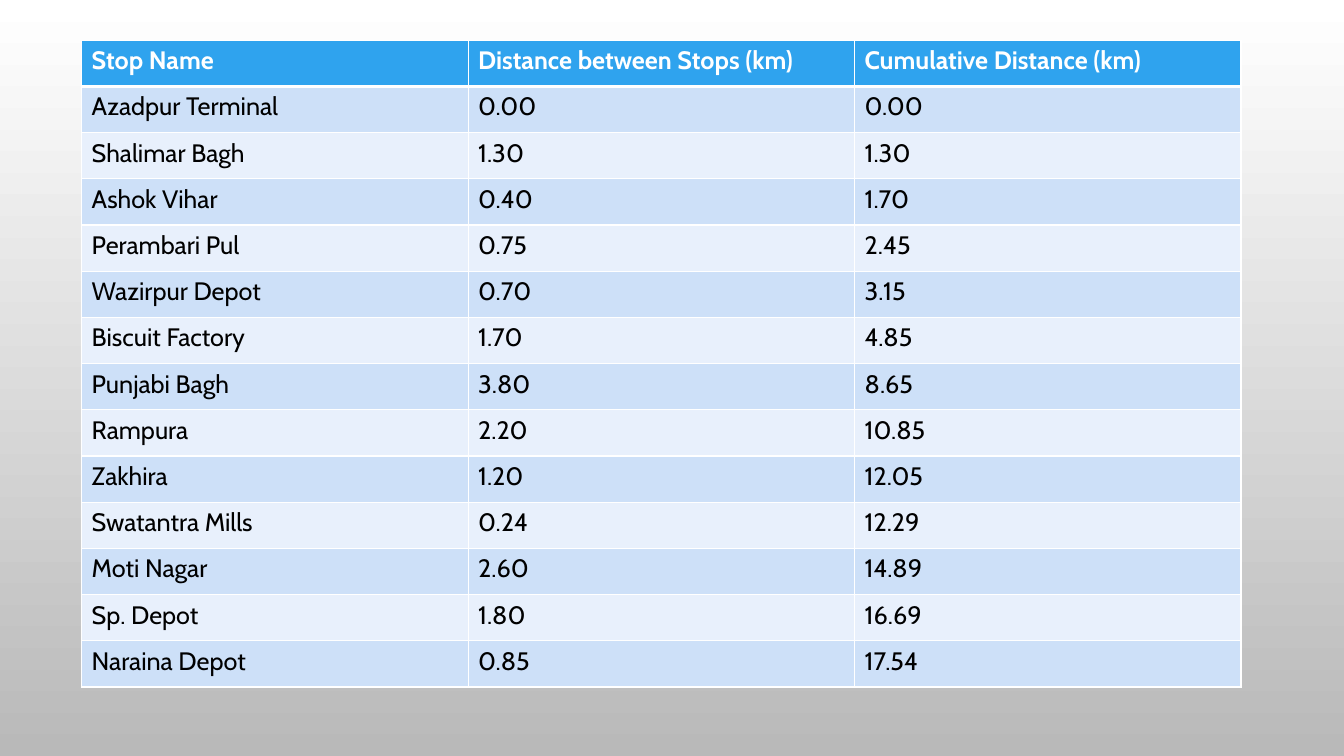
from itertools import accumulate

from lxml import etree
from pptx import Presentation
from pptx.dml.color import RGBColor
from pptx.oxml.ns import qn
from pptx.util import Inches, Pt

WHITE = RGBColor(0xFF, 0xFF, 0xFF)
BLACK = RGBColor(0x00, 0x00, 0x00)
GREY = RGBColor(0xB9, 0xB9, 0xB9)
HEADER_BLUE = RGBColor(0x2F, 0xA3, 0xEE)
BAND_DARK = RGBColor(0xCD, 0xE0, 0xF8)
BAND_LIGHT = RGBColor(0xE8, 0xF0, 0xFC)
FONT = "Cabin"

HEADINGS = ("Stop Name", "Distance between Stops (km)", "Cumulative Distance (km)")
STOPS = (
    ("Azadpur Terminal", 0.00),
    ("Shalimar Bagh", 1.30),
    ("Ashok Vihar", 0.40),
    ("Perambari Pul", 0.75),
    ("Wazirpur Depot", 0.70),
    ("Biscuit Factory", 1.70),
    ("Punjabi Bagh", 3.80),
    ("Rampura", 2.20),
    ("Zakhira", 1.20),
    ("Swatantra Mills", 0.24),
    ("Moti Nagar", 2.60),
    ("Sp. Depot", 1.80),
    ("Naraina Depot", 0.85),
)


def set_background(slide):
    fill = slide.background.fill
    fill.gradient()
    fill.gradient_angle = 270
    for stop, color in zip(fill.gradient_stops, (WHITE, GREY)):
        stop.color.rgb = color


def set_borders(cell, bottom):
    tc_pr = cell._tc.get_or_add_tcPr()
    for side, width in (("L", 1), ("R", 1), ("T", 1), ("B", bottom)):
        ln = etree.SubElement(tc_pr, qn(f"a:ln{side}"), w=str(Pt(width)))
        solid = etree.SubElement(ln, qn("a:solidFill"))
        etree.SubElement(solid, qn("a:srgbClr"), val=str(WHITE))


def fill_cell(cell, text, fill, color, bold, bottom):
    set_borders(cell, bottom)
    cell.fill.solid()
    cell.fill.fore_color.rgb = fill
    r = cell.text_frame.paragraphs[0].add_run()
    r.text = text
    r.font.name = FONT
    r.font.size = Pt(18)
    r.font.bold = bold
    r.font.color.rgb = color


def add_stop_table(slide, left, top, width, height):
    totals = accumulate(distance for _, distance in STOPS)
    rows = [HEADINGS] + [
        (name, f"{distance:.2f}", f"{total:.2f}")
        for (name, distance), total in zip(STOPS, totals)
    ]
    table = slide.shapes.add_table(
        len(rows), len(HEADINGS), left, top, width, height
    ).table
    for i, row in enumerate(rows):
        if i == 0:
            style = (HEADER_BLUE, WHITE, True, 3)
        else:
            style = (BAND_DARK if i % 2 else BAND_LIGHT, BLACK, False, 1)
        for j, text in enumerate(row):
            fill_cell(table.cell(i, j), text, *style)


def main():
    prs = Presentation()
    prs.slide_width = Inches(13.33)
    prs.slide_height = Inches(7.5)
    s = prs.slides.add_slide(prs.slide_layouts[6])
    set_background(s)
    add_stop_table(s, Inches(0.81), Inches(0.4), Inches(11.5), Inches(6.42))
    prs.save("out.pptx")


if __name__ == "__main__":
    main()
